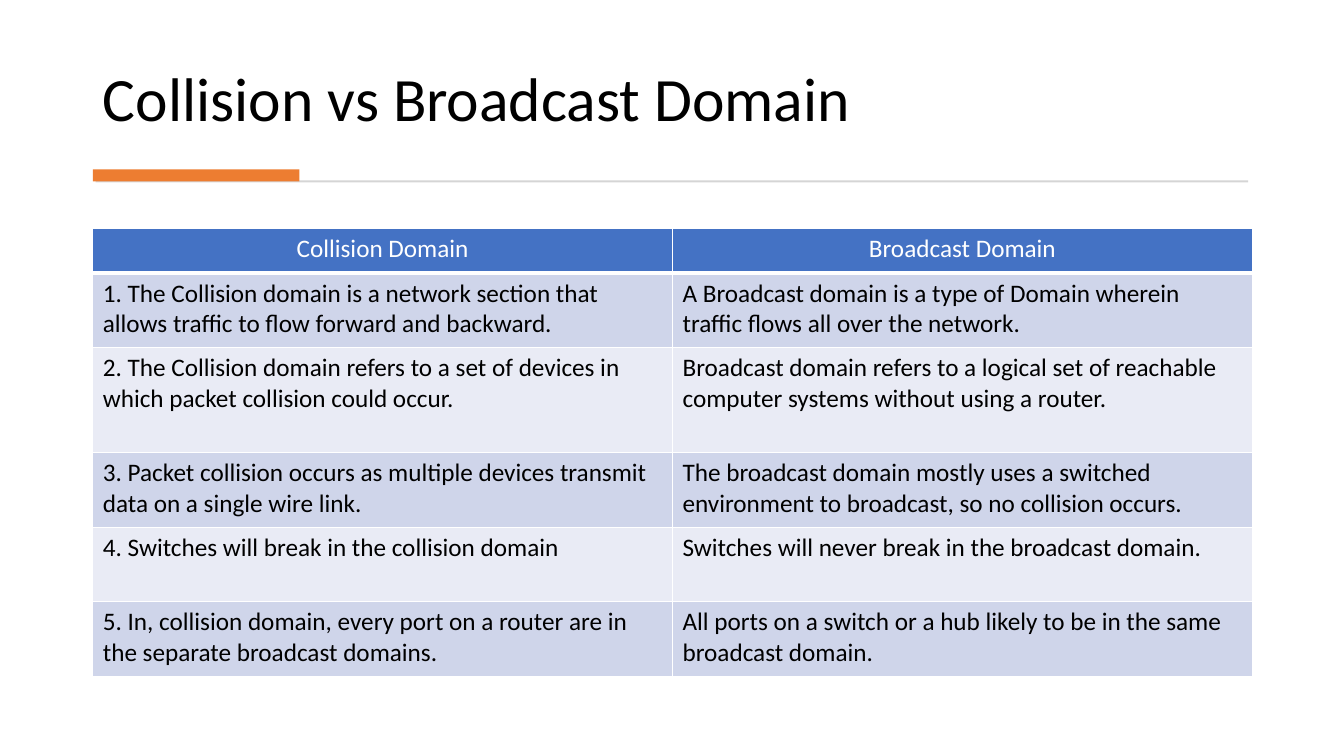
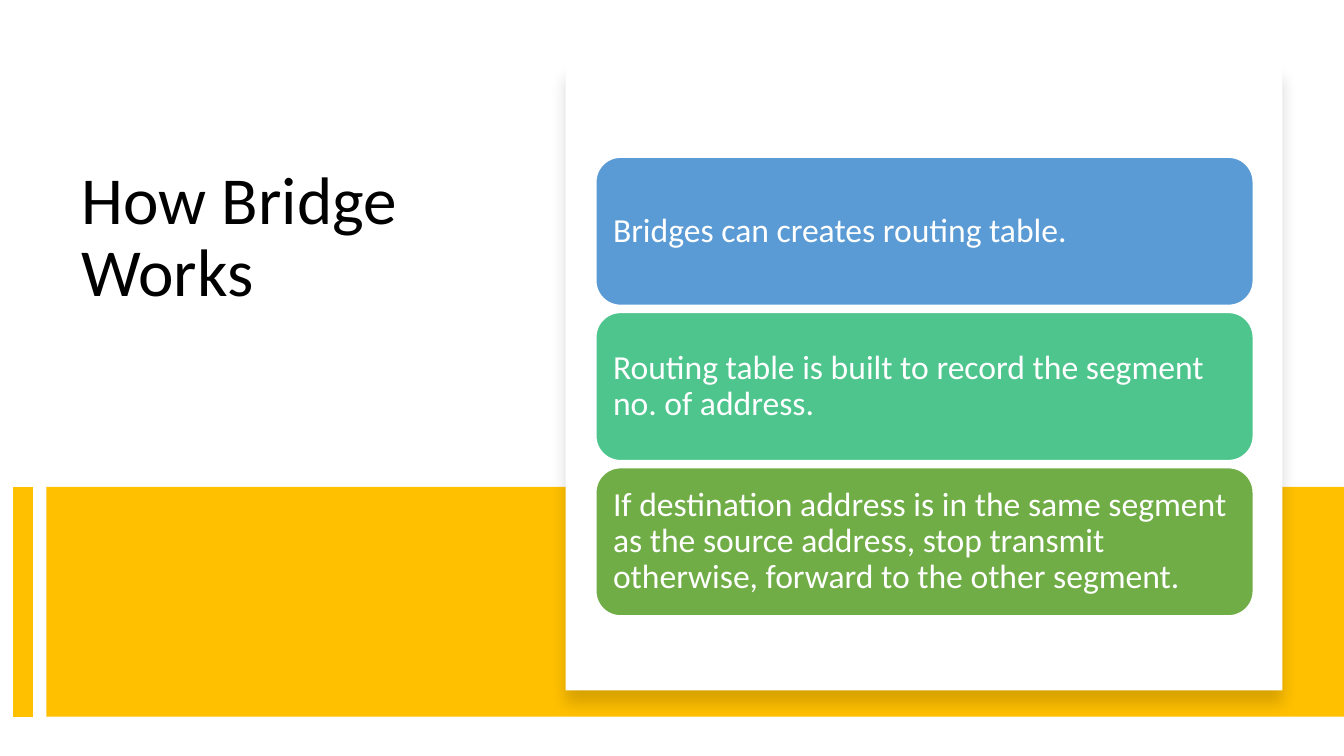
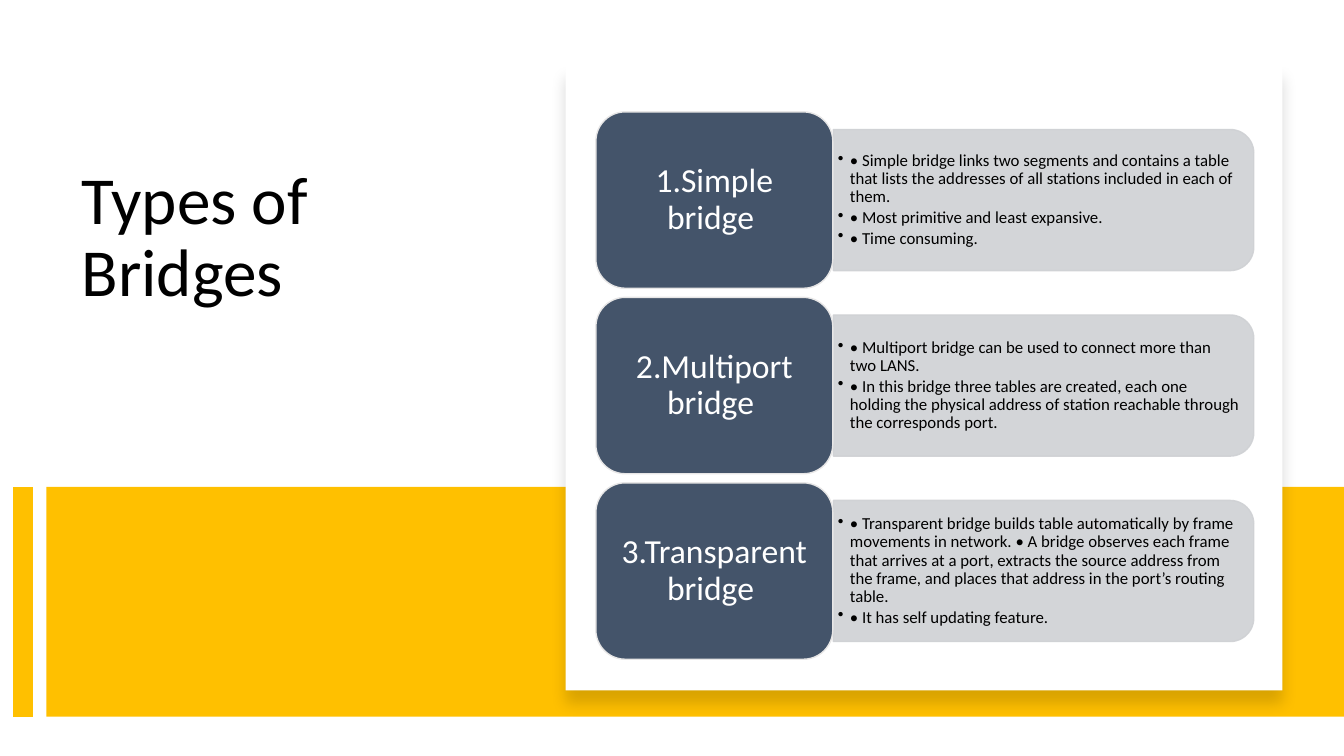
"""Build three slides about network domains and bridges."""
from dataclasses import dataclass
from typing import NamedTuple

from lxml.etree import SubElement as Sub
from pptx import Presentation
from pptx.dml.color import RGBColor as Rgb
from pptx.enum.shapes import MSO_CONNECTOR as Link, MSO_SHAPE as Kind
from pptx.enum.text import MSO_ANCHOR as Anchor, MSO_AUTO_SIZE as Fit, PP_ALIGN as Align
from pptx.oxml import parse_xml
from pptx.oxml.ns import nsdecls, qn
from pptx.util import Inches, Pt


@dataclass(frozen=True)
class Theme:
    font: str = "Calibri"
    black: str = "000000"
    white: str = "FFFFFF"
    rule: str = "D5D5D5"
    accent: str = "ED7D31"
    band: str = "FFC000"
    head: str = "4472C4"
    odd: str = "CFD5EA"
    even: str = "E9EBF5"
    label: str = "44546A"
    edge: str = "E7E6E6"
    panel: str = "CFD1D4"
    wide: int = 44
    tall: int = 48
    cell: int = 18
    card: int = 24
    note: int = 12


class Box(NamedTuple):
    x: float
    y: float
    w: float
    h: float


class Card(NamedTuple):
    text: str
    fill: str


class Bridge(NamedTuple):
    name: str
    notes: list[str]


THEME = Theme()

ROWS = [
    ("Collision Domain", "Broadcast Domain"),
    ("1. The Collision domain is a network section that allows traffic to flow forward and backward.",
     "A Broadcast domain is a type of Domain wherein traffic flows all over the network."),
    ("2. The Collision domain refers to a set of devices in which packet collision could occur.",
     "Broadcast domain refers to a logical set of reachable computer systems without using a router."),
    ("3. Packet collision occurs as multiple devices transmit data on a single wire link.",
     "The broadcast domain mostly uses a switched environment to broadcast, so no collision occurs."),
    ("4. Switches will break in the collision domain",
     "Switches will never break in the broadcast domain."),
    ("5. In, collision domain, every port on a router are in the separate broadcast domains.",
     "All ports on a switch or a hub likely to be in the same broadcast domain."),
]
HEIGHTS = [0.44, 0.74, 1.04, 0.74, 0.74, 0.74]

CARDS = [
    Card("Bridges can creates routing table.", "5B9BD5"),
    Card("Routing table is built to record the segment no. of address.", "4DC58D"),
    Card("If destination address is in the same segment as the source address, "
         "stop transmit otherwise, forward to the other segment.", "70AD47"),
]

TYPES = [
    Bridge("1.Simple bridge ", [
        "• Simple bridge links two segments and contains a table that lists "
        "the addresses of all stations included in each of them.",
        "• Most primitive and least expansive.",
        "• Time consuming."]),
    Bridge("2.Multiport bridge ", [
        "• Multiport bridge can be used to connect more than two LANS.",
        "• In this bridge three tables are created, each one holding the "
        "physical address of station reachable through the corresponds port."]),
    Bridge("3.Transparent bridge ", [
        "• Transparent bridge builds table automatically by frame movements in network. "
        "• A bridge observes each frame that arrives at a port, extracts the source "
        "address from the frame, and places that address in the port’s routing table.",
        "• It has self updating feature."]),
]


def place(box: Box) -> list:
    return [Inches(side) for side in box]


def write(frame, *lines: str, size: int, color: str = THEME.black, align=Align.LEFT,
          anchor=Anchor.MIDDLE, inset: tuple = (0.1, 0.05), space: float = 0.9,
          after: float = 0, bullet: bool = False) -> None:
    frame.word_wrap = True
    frame.auto_size = Fit.NONE
    frame.vertical_anchor = anchor
    frame.margin_left = frame.margin_right = Inches(inset[0])
    frame.margin_top = frame.margin_bottom = Inches(inset[1])
    for i, line in enumerate(lines):
        para = frame.add_paragraph() if i else frame.paragraphs[0]
        para.alignment = align
        para.line_spacing = space
        para.space_before = Pt(0)
        para.space_after = Pt(after)
        run = para.add_run()
        run.text = line
        run.font.name = THEME.font
        run.font.size = Pt(size)
        run.font.bold = False
        run.font.color.rgb = Rgb.from_string(color)
        if bullet:
            props = para._p.get_or_add_pPr()
            props.set("marL", str(Inches(0.12)))
            props.set("indent", str(-Inches(0.12)))
            Sub(props, qn("a:buChar"), char="•")


def draw(slide, box: Box, fill: str, kind=Kind.RECTANGLE, line: str = ""):
    shape = slide.shapes.add_shape(kind, *place(box))
    shape.shadow.inherit = False
    shape.fill.solid()
    shape.fill.fore_color.rgb = Rgb.from_string(fill)
    if line:
        shape.line.color.rgb = Rgb.from_string(line)
        shape.line.width = Pt(1)
    else:
        shape.line.fill.background()
    return shape


def start(deck, title: str, box: Box, size: int, anchor):
    slide = deck.slides.add_slide(deck.slide_layouts[5])
    head = slide.shapes.title
    head.left, head.top, head.width, head.height = place(box)
    write(head.text_frame, title, size=size, anchor=anchor)
    return slide


def split(deck, title: str):
    """Start a slide with a title at left, a band below and a raised white sheet."""
    slide = start(deck, title, Box(0.71, 1.6, 4.15, 2.94), THEME.tall, Anchor.TOP)
    draw(slide, Box(0.46, 4.83, 12.87, 2.28), THEME.band)
    bar = slide.shapes.add_connector(
        Link.STRAIGHT, Inches(0.23), Inches(4.83), Inches(0.23), Inches(7.11))
    bar.line.color.rgb = Rgb.from_string(THEME.band)
    bar.line.width = Pt(14)
    Sub(bar._element.spPr, qn("a:effectLst"))
    sheet = draw(slide, Box(5.61, 0.64, 7.11, 6.21), THEME.white)
    glow = Sub(sheet._element.spPr.find(qn("a:effectLst")), qn("a:outerShdw"),
               blurRad=str(Pt(11)), dist=str(Pt(10)), dir="5400000",
               algn="t", rotWithShape="0")
    Sub(Sub(glow, qn("a:srgbClr"), val=THEME.black), qn("a:alpha"), val="15000")
    return slide


def border(cell, base: int) -> None:
    props = cell._tc.get_or_add_tcPr()
    for i, side in enumerate("LRTB"):
        width = Pt(base if side == "B" else 1)
        props.insert(i, parse_xml(
            f'<a:ln{side} {nsdecls("a")} w="{width}"><a:solidFill>'
            f'<a:srgbClr val="{THEME.white}"/></a:solidFill></a:ln{side}>'))


def domains(deck) -> None:
    slide = start(deck, "Collision vs Broadcast Domain", Box(0.92, 0.28, 11.49, 1.11),
                  THEME.wide, Anchor.BOTTOM)
    draw(slide, Box(0.95, 1.79, 11.43, 0.02), THEME.rule)
    draw(slide, Box(0.92, 1.68, 2.05, 0.12), THEME.accent)
    box = Box(0.92, 2.27, 11.5, sum(HEIGHTS))
    table = slide.shapes.add_table(len(ROWS), 2, *place(box)).table
    for r, (texts, height) in enumerate(zip(ROWS, HEIGHTS)):
        table.rows[r].height = Inches(height)
        top = r == 0
        fill = THEME.head if top else THEME.odd if r % 2 else THEME.even
        for c, text in enumerate(texts):
            cell = table.cell(r, c)
            cell.fill.solid()
            cell.fill.fore_color.rgb = Rgb.from_string(fill)
            border(cell, 3 if top else 1)
            write(cell.text_frame, text, size=THEME.cell, space=1.0,
                  anchor=Anchor.TOP, color=THEME.white if top else THEME.black,
                  align=Align.CENTER if top else Align.LEFT)


def works(deck) -> None:
    slide = split(deck, "How Bridge Works")
    for i, card in enumerate(CARDS):
        shape = draw(slide, Box(5.91, 1.56 + i * 1.54, 6.52, 1.47), card.fill,
                     Kind.ROUNDED_RECTANGLE, THEME.white)
        write(shape.text_frame, card.text, size=THEME.card, color=THEME.white,
              inset=(0.1, 0.1), after=8.4)


def types(deck) -> None:
    slide = split(deck, "Types of Bridges")
    for i, bridge in enumerate(TYPES):
        y = 1.11 + i * 1.84
        mid = y + 1.75 / 2
        panel = draw(slide, Box(9.65, mid - 4.17 / 2, 1.4, 4.17), THEME.panel,
                     Kind.ROUND_2_SAME_RECTANGLE, THEME.panel)
        panel.rotation = 90
        for color in panel._element.spPr.iter(qn("a:srgbClr")):
            Sub(color, qn("a:alpha"), val="90000")
        notes = slide.shapes.add_textbox(*place(Box(8.26, mid - 1.27 / 2, 4.1, 1.27)))
        write(notes.text_frame, *bridge.notes, size=THEME.note, inset=(0.05, 0.03),
              after=1.8, bullet=True)
        label = draw(slide, Box(5.91, y, 2.35, 1.75), THEME.label,
                     Kind.ROUNDED_RECTANGLE, THEME.edge)
        write(label.text_frame, bridge.name, size=THEME.card, color=THEME.white,
              align=Align.CENTER, after=8.4)


def main() -> None:
    deck = Presentation()
    deck.slide_width, deck.slide_height = Inches(13.33), Inches(7.5)
    for build in (domains, works, types):
        build(deck)
    deck.save("out.pptx")


if __name__ == "__main__":
    main()
